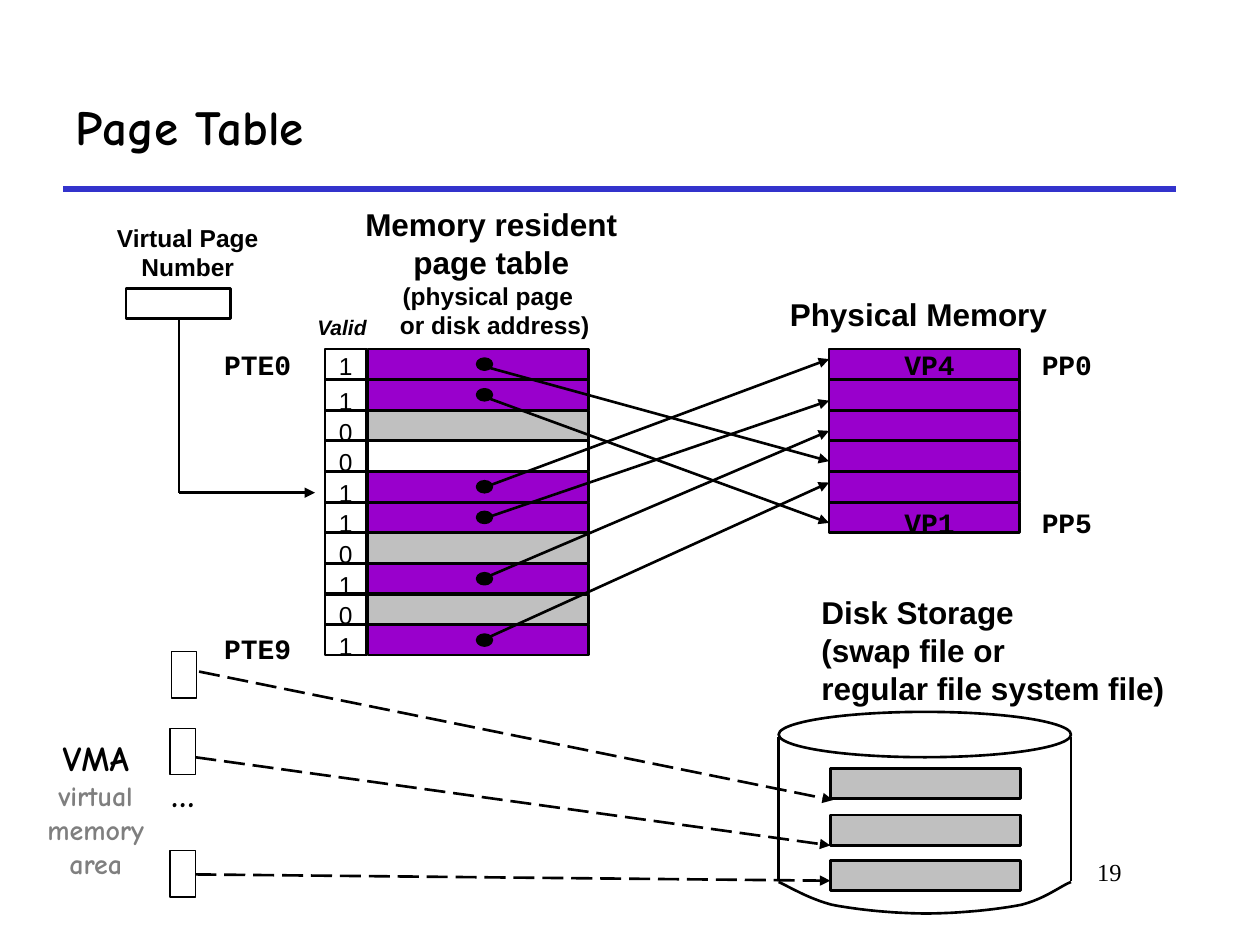
from lxml import etree
from pptx import Presentation
from pptx import util as u
from pptx.dml.color import RGBColor
from pptx.enum import dml, shapes, text
from pptx.oxml.ns import qn

BLACK = RGBColor(0x00, 0x00, 0x00)
WHITE = RGBColor(0xFF, 0xFF, 0xFF)
PURPLE = RGBColor(0x99, 0x00, 0xCC)
SILVER = RGBColor(0xC0, 0xC0, 0xC0)
GRAY = RGBColor(0x7F, 0x7F, 0x7F)
BLUE = RGBColor(0x33, 0x33, 0xCC)

SANS, MONO, COMIC = "Arial", "Courier New", "Comic Neue"
LEFT, CENTER, RIGHT = text.PP_ALIGN.LEFT, text.PP_ALIGN.CENTER, text.PP_ALIGN.RIGHT
RECT, OVAL = shapes.MSO_SHAPE.RECTANGLE, shapes.MSO_SHAPE.OVAL

TOP, CELL_H = 2.77, 0.24
PITCH = 2.19 / 9


class Diagram:
    """Holds the style and the slide being drawn."""

    def __init__(self, slide, line_width=1.5):
        self.s = slide
        self.line_width = line_width

    def font(self, p, name, size, bold=True, italic=False, color=BLACK):
        for r in p.runs:
            f = r.font
            f.name, f.size, f.bold, f.italic = name, u.Pt(size), bold, italic
            f.color.rgb = color

    def title(self, words, x, y, w, h):
        sp = self.s.shapes.title
        sp.left, sp.top, sp.width, sp.height = map(u.Inches, (x, y, w, h))
        tf = sp.text_frame
        tf.text = words
        tf.vertical_anchor = text.MSO_ANCHOR.MIDDLE
        tf.paragraphs[0].alignment = LEFT
        self.font(tf.paragraphs[0], COMIC, 28)

    def label(self, lines, x, y, w, h, name=SANS, size=18, align=LEFT,
              wrap=False, **style):
        sp = self.s.shapes.add_textbox(*map(u.Inches, (x, y, w, h)))
        tf = sp.text_frame
        tf.text = lines
        tf.word_wrap = wrap
        tf.auto_size = text.MSO_AUTO_SIZE.SHAPE_TO_FIT_TEXT
        for p in tf.paragraphs:
            p.alignment = align
            self.font(p, name, size, **style)
        return tf.paragraphs

    def outline(self, sp, fill, width):
        sp.shadow.inherit = False
        if fill is None:
            sp.fill.background()
        else:
            sp.fill.solid()
            sp.fill.fore_color.rgb = fill
        sp.line.color.rgb = BLACK
        sp.line.width = u.Pt(width or self.line_width)

    def shape(self, kind, x, y, w, h, fill=None, width=None):
        sp = self.s.shapes.add_shape(kind, *map(u.Inches, (x, y, w, h)))
        self.outline(sp, fill, width)

    def line(self, x1, y1, x2, y2, arrow=False, dashed=False, color=BLACK, width=None):
        cx = self.s.shapes.add_connector(
            shapes.MSO_CONNECTOR.STRAIGHT, *map(u.Inches, (x1, y1, x2, y2)))
        cx.line.color.rgb = color
        cx.line.width = u.Pt(width or self.line_width)
        if dashed:
            cx.line.dash_style = dml.MSO_LINE.LONG_DASH
        if arrow:
            etree.SubElement(cx.line._get_or_add_ln(), qn("a:tailEnd"), type="triangle")
        etree.SubElement(cx._element.spPr, qn("a:effectLst"))

    def curve(self, start, beziers, steps=12):
        """Open curve through cubic Bezier pieces, drawn as short segments."""
        points, p0 = [], start
        for c1, c2, p3 in beziers:
            for i in range(1, steps + 1):
                t = i / steps
                weights = (1 - t) ** 3, 3 * t * (1 - t) ** 2, 3 * t * t * (1 - t), t ** 3
                points.append(tuple(
                    u.Inches(sum(k * q[axis] for k, q in zip(weights, (p0, c1, c2, p3))))
                    for axis in (0, 1)))
            p0 = p3
        fb = self.s.shapes.build_freeform(*map(u.Inches, start))
        fb.add_line_segments(points, close=False)
        self.outline(fb.convert_to_shape(), None, None)


def main():
    prs = Presentation()
    prs.slide_width, prs.slide_height = u.Inches(10), u.Inches(7.5)
    d = Diagram(prs.slides.add_slide(prs.slide_layouts[5]))

    # Title, rule and page number
    d.line(0.5, 1.5, 9.33, 1.5, color=BLUE, width=3)
    d.label("19", 7.58, 6.75, 1.42, 0.5, "Times New Roman", 14, RIGHT, True, bold=False)
    d.title("Page Table", 0.5, 0.5, 8.83, 1)

    # Page table: valid bit and address for each entry
    entries = [(1, PURPLE), (1, PURPLE), (0, SILVER), (0, WHITE), (1, PURPLE),
               (1, PURPLE), (0, SILVER), (1, PURPLE), (0, SILVER), (1, PURPLE)]
    for i, (valid, fill) in enumerate(entries):
        y = TOP + i * PITCH
        d.shape(RECT, 2.92, y, 1.75, CELL_H, fill)
        d.shape(RECT, 2.58, y, 0.33, CELL_H)
        d.label(str(valid), 2.59, y if i else 2.74, 0.31, 0.34, size=14, bold=False)
        if valid:
            d.shape(OVAL, 3.79, y + 0.08, 0.11, 0.08, BLACK, 2)
    heading = d.label("Memory resident\npage table\n(physical page \n or disk address)",
                      2.8, 1.58, 2.2, 1.17, align=CENTER)
    for p in heading[2:]:
        d.font(p, SANS, 14)
    d.label("Valid", 2.42, 2.45, 0.67, 0.3, size=12, wrap=True, italic=True)

    # Physical memory
    d.label("Physical Memory", 6.17, 2.29, 2.24, 0.4)
    for i in range(6):
        d.shape(RECT, 6.58, TOP + i * PITCH, 1.51, CELL_H, PURPLE)

    # Disk storage
    d.shape(OVAL, 6.18, 5.65, 2.32, 0.36)
    for x in (6.18, 8.5):
        d.line(x, 5.85, x, 6.99)
    d.curve((6.18, 7), [((6.25, 7.03), (6.41, 7.13), (6.6, 7.18)),
                        ((6.8, 7.22), (7.1, 7.25), (7.35, 7.25)),
                        ((7.6, 7.25), (7.91, 7.22), (8.11, 7.18)),
                        ((8.3, 7.13), (8.42, 7.03), (8.5, 7))])
    d.label("Disk Storage\n(swap file or\nregular file system file)", 6.42, 4.66, 2.92, 1)
    for y in (6.1, 6.47, 6.83):
        d.shape(RECT, 6.59, y, 1.51, CELL_H, SILVER)

    # Entries pointing to physical pages
    for x, y, end in [(3.85, 2.91, 3.66), (3.82, 3.14, 4.15), (3.84, 3.87, 2.85),
                      (3.83, 4.12, 3.18), (3.84, 4.59, 3.42), (3.83, 5.08, 3.83)]:
        d.line(x, y, 6.58, end, arrow=True)

    # Virtual page number indexing the table
    d.shape(RECT, 1, 2.29, 0.83, CELL_H, WHITE)
    d.label("Virtual Page\nNumber", 0.83, 1.72, 1.32, 0.57, size=14, align=CENTER)
    d.line(1.42, 2.53, 1.42, 3.91)
    d.line(1.42, 3.91, 2.5, 3.91, arrow=True)

    # Entry and page names
    for words, x, y, align in [("PTE0", 1.58, 2.71, RIGHT), ("PTE9", 1.58, 4.96, RIGHT),
                               ("PP0", 8.17, 2.71, LEFT), ("PP5", 8.17, 3.96, LEFT),
                               ("VP4", 7.08, 2.71, LEFT), ("VP1", 7.08, 3.96, LEFT)]:
        d.label(words, x, y, 0.83, 0.37, MONO, 16, align, wrap=True)

    # Virtual memory areas mapped to disk
    for x, y in [(1.36, 5.17), (1.35, 5.78), (1.35, 6.75)]:
        d.shape(RECT, x, y, 0.2, 0.37, width=0.75)
    for ends in [(1.58, 5.33, 6.61, 6.35), (1.55, 6.01, 6.59, 6.71),
                 (1.55, 6.94, 6.59, 6.99)]:
        d.line(*ends, arrow=True, dashed=True)
    d.label("…", 1.26, 6.08, 0.38, 0.44, COMIC, 20)
    vma = d.label("VMA\nvirtual\nmemory\narea", 0.24, 5.8, 1.04, 1.24, COMIC, 20, CENTER)
    for p in vma[1:]:
        d.font(p, COMIC, 16, color=GRAY)

    prs.save("out.pptx")


if __name__ == "__main__":
    main()
